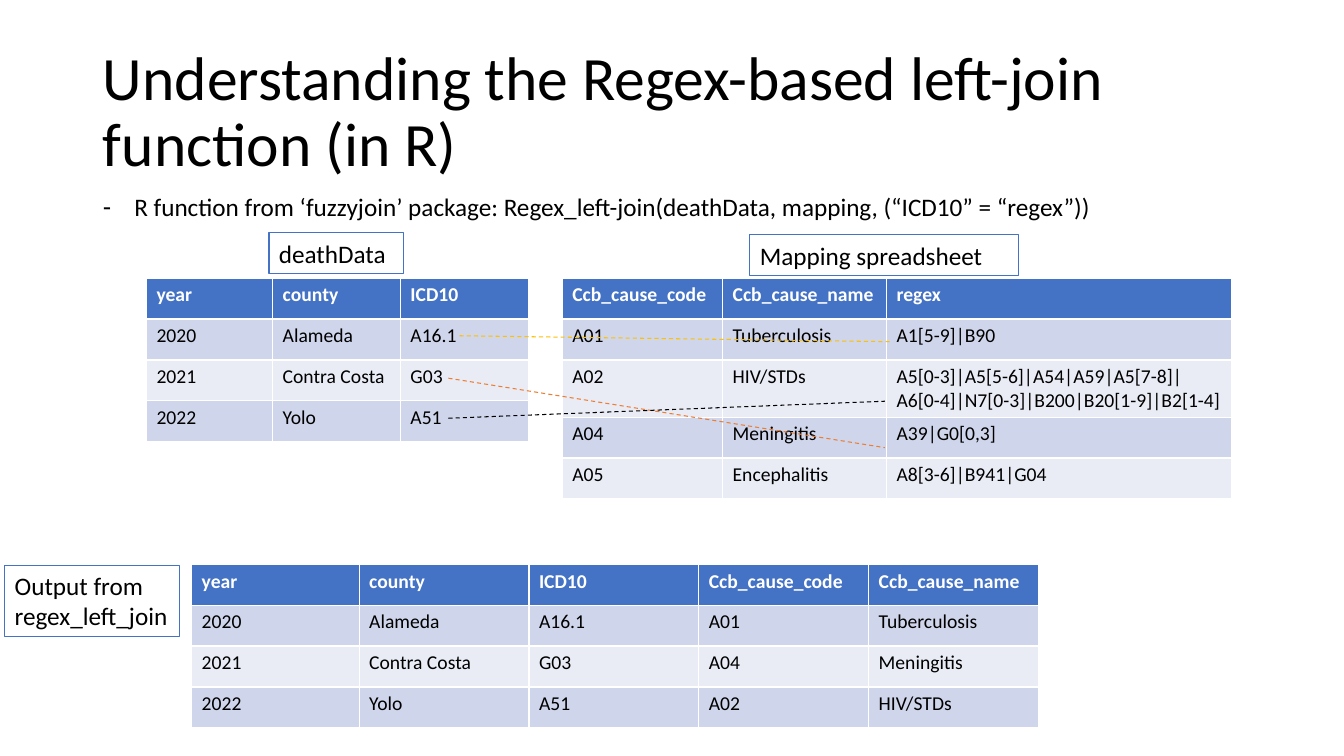
from pptx import Presentation
from pptx import util as u
from pptx.dml import color
from pptx.enum import dml, text
from pptx.enum import shapes as sh
from pptx.oxml import ns, xmlchemy as xc

FONT = "Calibri"
BLUE, BLACK, WHITE = "4472C4", "000000", "FFFFFF"
BANDS = ["CFD5EA", "E9EBF5"]
DEATHS = [
    ["year", "county", "ICD10"],
    ["2020", "Alameda", "A16.1"],
    ["2021", "Contra Costa", "G03"],
    ["2022", "Yolo", "A51"],
]
CAUSES = [
    ["Ccb_cause_code", "Ccb_cause_name", "regex"],
    ["A01", "Tuberculosis", "A1[5-9]|B90"],
    ["A02", "HIV/STDs", "A5[0-3]|A5[5-6]|A54|A59|A5[7-8]|"
     "A6[0-4]|N7[0-3]|B200|B20[1-9]|B2[1-4]"],
    ["A04", "Meningitis", "A39|G0[0,3]"],
    ["A05", "Encephalitis", "A8[3-6]|B941|G04"],
]
# Row of CAUSES that each row of DEATHS matches, header first
MATCH = [0, 1, 3, 2]
OUTPUT = [row + CAUSES[i][:2] for row, i in zip(DEATHS, MATCH)]


def rgb(code):
    return color.RGBColor.from_string(code)


def place(shape, *box):
    """Set left, top, width and height, in centimetres."""
    shape.left, shape.top, shape.width, shape.height = map(u.Cm, box)


class Page:
    """Holds the style and the slide being drawn."""

    def __init__(self, deck):
        self.slide = deck.slides.add_slide(deck.slide_layouts[1])
        self.shapes = self.slide.shapes

    def letter(self, frame, words, size, ink=BLACK, bold=False):
        """Fill a text frame with one styled paragraph and return it."""
        frame.text = words
        frame.word_wrap = True
        para = frame.paragraphs[0]
        para.alignment = text.PP_ALIGN.LEFT
        para.font.name = FONT
        para.font.size = u.Pt(size)
        para.font.bold = bold
        para.font.color.rgb = rgb(ink)
        return para

    def title(self, words, *box):
        shape = self.shapes.title
        place(shape, *box)
        frame = shape.text_frame
        self.letter(frame, words, 44).line_spacing = 0.9
        frame.vertical_anchor = text.MSO_ANCHOR.MIDDLE

    def body(self, words, *box):
        shape = self.slide.placeholders[1]
        place(shape, *box)
        frame = shape.text_frame
        para = self.letter(frame, words, 18)
        para.space_before = u.Pt(0)
        frame.auto_size = text.MSO_AUTO_SIZE.SHAPE_TO_FIT_TEXT
        props = para._p.get_or_add_pPr()
        props.set("marL", str(u.Cm(0.79)))
        props.set("indent", str(-u.Cm(0.79)))
        dash = xc.OxmlElement("a:buChar")
        dash.set("char", "-")
        props.append(dash)

    def label(self, words, *box):
        shape = self.shapes.add_textbox(*map(u.Cm, box))
        shape.line.color.rgb = rgb(BLUE)
        shape.line.width = u.Pt(0.75)
        self.letter(shape.text_frame, words, 18)
        shape.text_frame.auto_size = text.MSO_AUTO_SIZE.SHAPE_TO_FIT_TEXT

    def table(self, data, left, top, widths, high=1.03):
        box = map(u.Cm, (left, top, sum(widths), high * len(data)))
        grid = self.shapes.add_table(len(data), len(widths), *box).table
        for col, width in zip(grid.columns, widths):
            col.width = u.Cm(width)
        for r, row in enumerate(data):
            grid.rows[r].height = u.Cm(high)
            head = r == 0
            for c, words in enumerate(row):
                cell = grid.cell(r, c)
                cell.fill.solid()
                cell.fill.fore_color.rgb = rgb(BLUE if head else BANDS[(r - 1) % 2])
                self.letter(cell.text_frame, words, 14, WHITE if head else BLACK, head)

    def link(self, ink, *ends):
        """Draw a dashed line from x, y to x, y."""
        line = self.shapes.add_connector(sh.MSO_CONNECTOR.STRAIGHT, *map(u.Cm, ends))
        line.line.color.rgb = rgb(ink)
        line.line.width = u.Pt(0.75)
        line.line.dash_style = dml.MSO_LINE.DASH
        line._element.find(ns.qn("p:spPr")).append(xc.OxmlElement("a:effectLst"))


def main():
    deck = Presentation()
    deck.slide_width, deck.slide_height = u.Cm(33.87), u.Cm(19.05)
    page = Page(deck)
    page.title("Understanding the Regex-based left-join function (in R)",
               2.34, 1.02, 29.21, 3.68)
    page.body("R function from ‘fuzzyjoin’ package: Regex_left-join"
              "(deathData, mapping, (“ICD10” = “regex”))", 2.34, 4.7, 26.82, 1.02)

    page.table(DEATHS, 3.69, 7.01, [3.18, 3.22, 3.22])
    page.table(CAUSES, 14.17, 7.01, [4.04, 4.13, 8.7])
    page.table(OUTPUT, 4.83, 14.22, [4.22] + [4.28] * 4)

    page.label("deathData", 6.78, 5.87, 3.4, 1.02)
    page.label("Mapping spreadsheet", 18.9, 5.92, 6.78, 1.02)
    page.label("Output from regex_left_join", 0.12, 14.25, 4.4, 1.8)

    page.link("FFC000", 11.58, 8.46, 22.43, 8.61)
    page.link("ED7D31", 11.3, 9.53, 22.3, 11.28)
    page.link(BLACK, 11.3, 10.54, 22.3, 10.11)
    deck.save("out.pptx")


if __name__ == "__main__":
    main()
